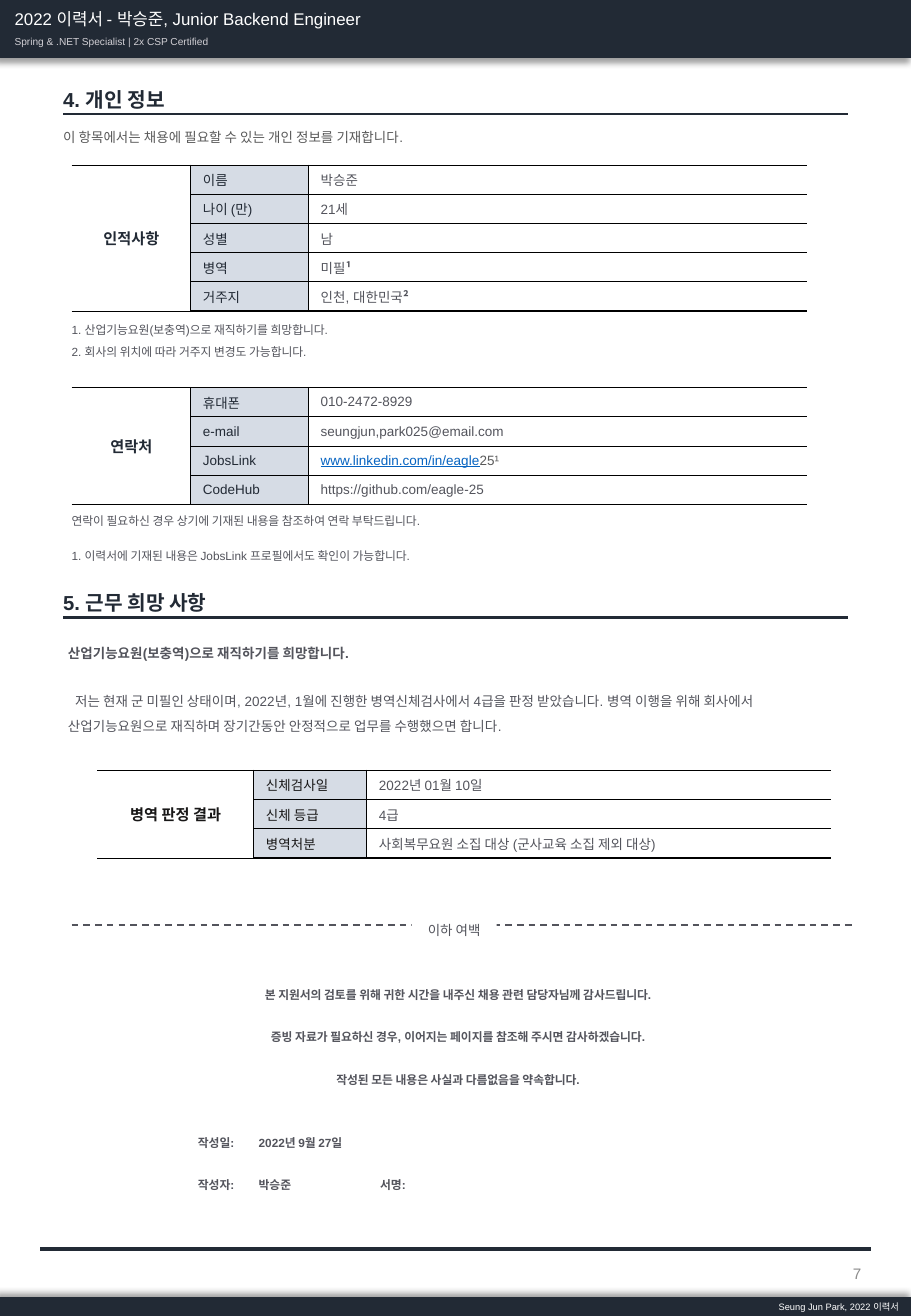
from dataclasses import dataclass, field

from lxml.etree import SubElement
from pptx import Presentation
from pptx.dml.color import RGBColor
from pptx.enum.dml import MSO_LINE
from pptx.enum.shapes import MSO_CONNECTOR as Connector, MSO_SHAPE as Preset
from pptx.enum.text import MSO_ANCHOR as Anchor, MSO_AUTO_SIZE as AutoSize, PP_ALIGN as Align
from pptx.oxml import parse_xml
from pptx.oxml.ns import nsdecls, qn
from pptx.util import Emu, Pt


@dataclass(frozen=True)
class Theme:
    font: str = "Arial"
    navy: str = "222A35"
    gray: str = "53545C"
    soft: str = "595959"
    label: str = "D6DCE5"
    ink: str = "181717"
    link: str = "0563C1"
    white: str = "FFFFFF"
    tagline: str = "D2D0D5"
    number: str = "8C8C8C"
    black: str = "000000"
    heading_size: float = 12
    banner_size: float = 10
    group_size: float = 9
    body_size: float = 8
    note_size: float = 7
    tagline_size: float = 6
    footer_size: float = 5.5


THEME = Theme()
ROW_HEIGHT, CELL_MARGIN = 24, 3
NOTE_GAP, BODY_GAP = 12.5, 14.4


def px(value):
    """Convert layout px (100 to the inch) to EMU."""
    return Emu(value * 9144)


def px_box(box):
    return [px(value) for value in box]


def rgb(value):
    return RGBColor.from_string(value)


def set_all(target, values):
    for name, value in values.items():
        setattr(target, name, value)


@dataclass
class Line:
    """One paragraph: a string, or (text, run format) pairs."""
    content: object
    format: dict = field(default_factory=dict)
    indent: int = 0
    tabs: tuple = ()


def write(frame, lines, size, color, bold=False, margins=(0, 5, 10, 5), anchor=Anchor.TOP):
    sides = ("margin_left", "margin_top", "margin_right", "margin_bottom")
    set_all(frame, {"word_wrap": True, "auto_size": AutoSize.NONE, "vertical_anchor": anchor,
                    **dict(zip(sides, px_box(margins)))})
    for index, line in enumerate(lines):
        paragraph = frame.add_paragraph() if index else frame.paragraphs[0]
        fill_paragraph(paragraph, line, size, color, bold)


def fill_paragraph(paragraph, line, size, color, bold):
    properties = paragraph._p.get_or_add_pPr()
    properties.set("marL", "0")
    properties.set("indent", str(px(line.indent)))
    SubElement(properties, qn("a:buNone"))
    if line.tabs:
        stops = SubElement(properties, qn("a:tabLst"))
        for stop in line.tabs:
            SubElement(stops, qn("a:tab"), pos=str(px(stop)), algn="l")
    set_all(paragraph, {"alignment": Align.LEFT, "line_spacing": 1.5, "space_before": Pt(0), **line.format})
    runs = [(line.content, {})] if isinstance(line.content, str) else line.content
    for text, changes in runs:
        run = paragraph.add_run()
        run.text = text
        values = {"name": THEME.font, "size": size, "bold": bold, "color": color, **changes}
        run.font.color.rgb = rgb(values.pop("color"))
        values["size"] = Pt(values["size"])
        set_all(run.font, values)


def add_text(slide, box, lines, size, color, **options):
    write(slide.shapes.add_textbox(*px_box(box)).text_frame, lines, size, color, **options)


def add_rule(slide, left, top, width, weight, color=THEME.navy, dash=None):
    rule = slide.shapes.add_connector(Connector.STRAIGHT, px(left), px(top), px(left + width), px(top))
    rule.line.color.rgb = rgb(color)
    set_all(rule.line, {"width": Pt(weight), "dash_style": dash})
    SubElement(rule._element.spPr, qn("a:effectLst"))


def add_block(slide, box, color):
    block = slide.shapes.add_shape(Preset.RECTANGLE, *px_box(box))
    block.shadow.inherit = False
    block.fill.solid()
    block.fill.fore_color.rgb = rgb(color)
    block.line.fill.background()
    return block


def add_bar(slide, box, shadow_angle):
    """Navy band with a soft shadow."""
    bar = add_block(slide, box, THEME.navy)
    bar.line.color.rgb = rgb(THEME.navy)
    bar.line.width = Pt(1)
    effects = bar._element.spPr.find(qn("a:effectLst"))
    shadow = SubElement(effects, qn("a:outerShdw"), blurRad=str(Pt(4)), dist=str(Pt(3)),
                        dir=str(shadow_angle * 60000), algn="tr", rotWithShape="0")
    SubElement(SubElement(shadow, qn("a:srgbClr"), val=THEME.black), qn("a:alpha"), val="40000")


def add_header(slide, box):
    left, top, _, _ = box
    add_bar(slide, box, 135)
    add_text(slide, (left + 13, top + 8, 709, 35), [
        Line("2022 이력서 - 박승준, Junior Backend Engineer", {"line_spacing": 1.0}),
        Line([("Spring & .NET Specialist | 2x CSP Certified",
               {"size": THEME.tagline_size, "color": THEME.tagline})]),
    ], THEME.banner_size, THEME.white, margins=(0, 0, 10, 5))


def add_footer(slide, box):
    left, top, _, _ = box
    right = {"alignment": Align.RIGHT, "line_spacing": 1.0}
    add_rule(slide, left + 33, top - 40, 684, 2)
    add_text(slide, (left + 550, top - 27, 169, 14), [Line("7", right)], THEME.group_size,
             THEME.number, margins=(10, 5, 10, 5), anchor=Anchor.MIDDLE)
    add_bar(slide, box, 225)
    add_text(slide, (left + 574, top + 3, 176, 9), [Line("Seung Jun Park, 2022 이력서", right)],
             THEME.footer_size, THEME.white, margins=(0, 0, 10, 0))


def add_heading(slide, shape, left, top, text):
    set_all(shape, dict(zip(("left", "top", "width", "height"), px_box((left, top, 198, 37)))))
    write(shape.text_frame, [Line(text)], THEME.heading_size, THEME.navy, bold=True)
    add_rule(slide, left, top + 37, 646, 1.5)


def set_borders(cell, weights):
    """Draw the sides of a cell in the order L, R, T, B; 0 hides a side."""
    properties = cell._tc.get_or_add_tcPr()
    for index, (side, weight) in enumerate(zip("LRTB", weights)):
        paint = f'<a:solidFill><a:srgbClr val="{THEME.black}"/></a:solidFill>' if weight else "<a:noFill/>"
        properties.insert(index, parse_xml(
            f'<a:ln{side} {nsdecls("a")} w="{Pt(weight)}">{paint}</a:ln{side}>'))


def add_facts(slide, left, top, widths, group, facts, color=THEME.navy):
    """Table with one merged group cell, shaded labels and values."""
    count = len(facts)
    frame = slide.shapes.add_table(count, 3, *px_box((left, top, sum(widths), ROW_HEIGHT * count)))
    table = frame.table
    set_all(table, {"first_row": False, "horz_banding": False})
    for column, width in zip(table.columns, widths):
        column.width = px(width)
    for row, (label, value) in enumerate(facts):
        table.rows[row].height = px(ROW_HEIGHT)
        above, below = 1 if row == 0 else 0.5, 1 if row == count - 1 else 0.5
        for column, content in enumerate((group if row == 0 else "", label, value)):
            cell = table.cell(row, column)
            set_all(cell, {"vertical_anchor": Anchor.MIDDLE, "margin_top": px(CELL_MARGIN),
                           "margin_bottom": px(CELL_MARGIN)})
            cell.fill.background()
            if column == 1:
                cell.fill.solid()
                cell.fill.fore_color.rgb = rgb(THEME.label)
            set_borders(cell, (0.5 if column else 0, 0.5 if column < 2 else 0, above, below))
            if content:
                is_group = column == 0
                alignment = Align.CENTER if is_group else Align.LEFT
                fill_paragraph(cell.text_frame.paragraphs[0],
                               Line(content, {"alignment": alignment, "line_spacing": 1.0}),
                               THEME.group_size if is_group else THEME.body_size,
                               THEME.gray if column == 2 else color, is_group)
    table.cell(0, 0).merge(table.cell(count - 1, 0))


def add_personal(slide, title, notes, left, top):
    add_heading(slide, title, left, top, "4. 개인 정보")
    add_text(slide, (left, top + 38, 647, 28),
             [Line("이 항목에서는 채용에 필요할 수 있는 개인 정보를 기재합니다.")], THEME.body_size, THEME.soft)
    widths, inner = (98, 97, 410), left + 7
    add_facts(slide, inner, top + 79, widths, "인적사항", [
        ("이름", "박승준"), ("나이 (만)", "21세"), ("성별", "남"),
        ("병역", [("미필", {}), ("¹", {"bold": True})]),
        ("거주지", [("인천, 대한민국", {}), ("²", {"bold": True})])])
    set_all(notes, dict(zip(("left", "top", "width", "height"), px_box((inner, top + 198, 647, 43)))))
    write(notes.text_frame, [Line("1. 산업기능요원(보충역)으로 재직하기를 희망합니다."),
                             Line("2. 회사의 위치에 따라 거주지 변경도 가능합니다.")], THEME.note_size, THEME.gray)
    add_facts(slide, inner, top + 262, widths, "연락처", [
        ("휴대폰", "010-2472-8929"), ("e-mail", "seungjun,park025@email.com"),
        ("JobsLink", [("www.linkedin.com/in/eagle", {"color": THEME.link, "underline": True}),
                      ("25¹", {"color": THEME.soft})]),
        ("CodeHub", "https://github.com/eagle-25")])
    add_text(slide, (inner, top + 355, 647, 52), [
        Line("연락이 필요하신 경우 상기에 기재된 내용을 참조하여 연락 부탁드립니다."),
        Line("1. 이력서에 기재된 내용은 JobsLink 프로필에서도 확인이 가능합니다.", {"line_spacing": 2.5}),
    ], THEME.note_size, THEME.gray)


def add_wishes(slide, left, top):
    add_heading(slide, slide.shapes.add_textbox(0, 0, 0, 0), left, top, "5. 근무 희망 사항")
    add_text(slide, (left + 4, top + 48, 647, 109), [
        Line([("산업기능요원(보충역)으로 재직하기를 희망합니다.", {"bold": True})]),
        Line("저는 현재 군 미필인 상태이며, 2022년, 1월에 진행한 병역신체검사에서 4급을 판정 받았습니다. "
             "병역 이행을 위해 회사에서 산업기능요원으로 재직하며 장기간동안 안정적으로 업무를 수행했으면 합니다.",
             {"space_before": Pt(BODY_GAP)}, indent=6),
    ], THEME.body_size, THEME.gray)
    add_facts(slide, left + 28, top + 163, (129, 93, 382), "병역 판정 결과", [
        ("신체검사일", "2022년 01월 10일"), ("신체 등급", "4급"),
        ("병역처분", "사회복무요원 소집 대상 (군사교육 소집 제외 대상)")], THEME.ink)


def add_closing(slide, left, top):
    add_rule(slide, left, top, 646, 1, THEME.gray, MSO_LINE.DASH)
    label = add_block(slide, (left + 280, top - 14, 70, 28), THEME.white)
    write(label.text_frame, [Line("이하 여백", {"alignment": Align.CENTER})],
          THEME.body_size, THEME.gray, margins=(10, 5, 10, 5))
    gap = {"space_before": Pt(NOTE_GAP)}
    center = {"alignment": Align.CENTER}
    stops = (50, 100, 150)
    add_text(slide, (left + 104, top + 41, 438, 185), [
        Line("본 지원서의 검토를 위해 귀한 시간을 내주신 채용 관련 담당자님께 감사드립니다.", center),
        Line("증빙 자료가 필요하신 경우, 이어지는 페이지를 참조해 주시면 감사하겠습니다.", center | gap),
        Line("작성된 모든 내용은 사실과 다름없음을 약속합니다.", center | gap),
        Line("작성일:\t2022년 9월 27일", {"space_before": Pt(2 * NOTE_GAP)}, tabs=stops),
        Line("작성자:\t박승준\t\t서명:", gap, tabs=stops),
    ], THEME.note_size, THEME.gray, bold=True)


def main():
    presentation = Presentation()
    set_all(presentation, {"slide_width": px(750), "slide_height": px(1083)})
    slide = presentation.slides.add_slide(presentation.slide_layouts[1])
    add_header(slide, (-1, -1, 751, 48))
    add_personal(slide, slide.shapes.title, slide.placeholders[1], 52, 57)
    add_wishes(slide, 52, 471)
    add_closing(slide, 59, 761)
    add_footer(slide, (0, 1068, 750, 16))
    presentation.save("out.pptx")


if __name__ == "__main__":
    main()
